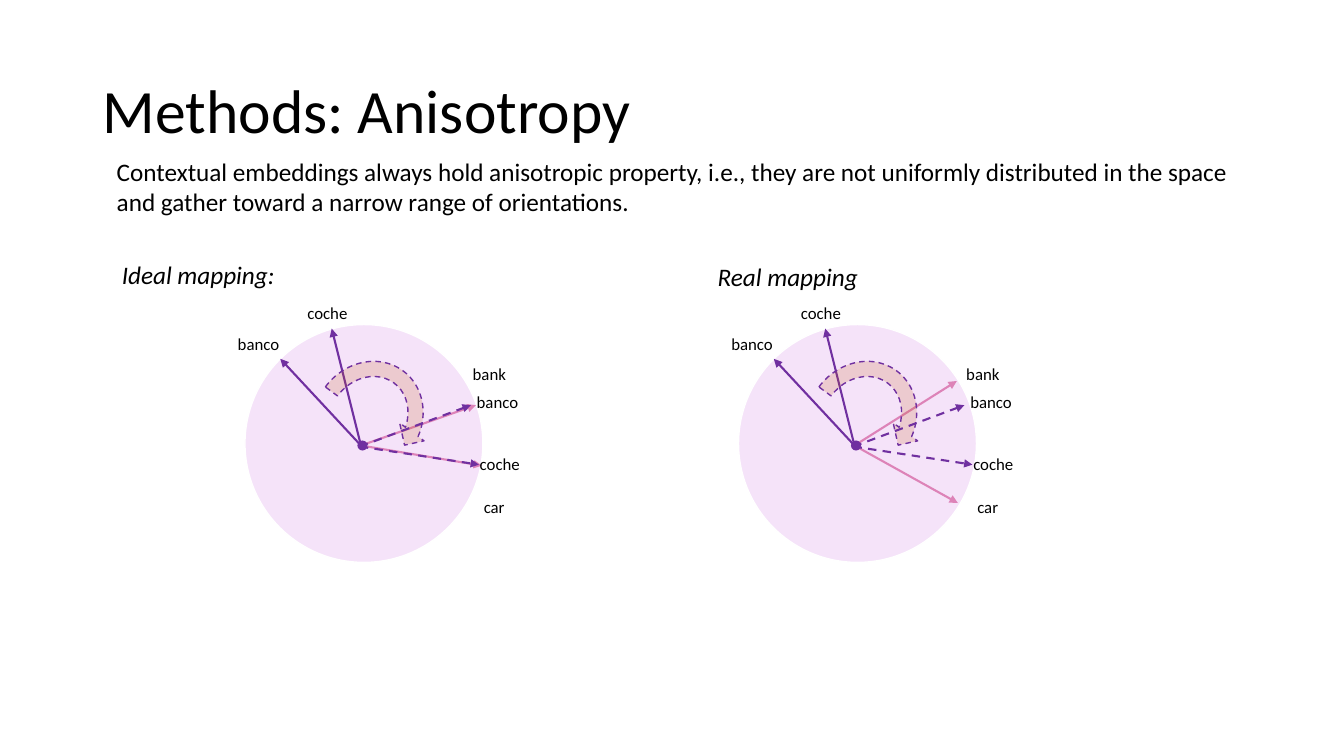
from lxml import etree
from pptx import Presentation
from pptx.dml.color import RGBColor
from pptx.enum.dml import MSO_LINE
from pptx.enum.shapes import MSO_CONNECTOR, MSO_SHAPE
from pptx.enum.text import MSO_ANCHOR
from pptx.oxml.ns import qn
from pptx.util import Inches, Pt

BLACK = RGBColor(0x00, 0x00, 0x00)
WHITE = RGBColor(0xFF, 0xFF, 0xFF)
PURPLE = RGBColor(0x70, 0x30, 0xA0)
PINK = RGBColor(0xDD, 0x83, 0xB8)
LILAC = RGBColor(0xF5, 0xE3, 0xF9)
RUST = RGBColor(0xC5, 0x5A, 0x11)

DASH = MSO_LINE.DASH
STRAIGHT = MSO_CONNECTOR.STRAIGHT
ELLIPSE = MSO_SHAPE.OVAL
CURVED_ARROW = MSO_SHAPE.CIRCULAR_ARROW
MIDDLE, TOP = MSO_ANCHOR.MIDDLE, MSO_ANCHOR.TOP

SLIDE_WIDTH, SLIDE_HEIGHT = Inches(13.33), Inches(7.5)
CELL = SLIDE_HEIGHT / 75  # the slide is a grid of square cells, 75 rows high

TITLE = {"size": Pt(44)}
BODY = {"size": Pt(18)}
CAPTION = {"size": Pt(18), "italic": True}
LABEL = {"size": Pt(12)}

# Cells from the top left corner of the space
SPACE_SIZE = 23.6
HUB = (11.5, 12)
ROTATED_HUB = (11.4, 12.1)
SOURCE_TIPS = [(3.5, 3.4), (8.6, 0.4)]
ROTATED_TIPS = [(22.4, 8), (23.2, 13.9)]
WORD_LABELS = [
    ("banco", -1.7, 0.4), ("coche", 5.2, -2.7), ("car", 22.7, 16.6),
    ("bank", 21.6, 3.4), ("banco", 22, 6.2), ("coche", 22.3, 12.3),
]
SPACES = [  # left, top, tips of the target words
    (24.3, 32.2, [(22.9, 8), (23.5, 14)]),
    (73.25, 32.2, [(21.65, 5.6), (21.75, 17.7)]),
]


def cells(*counts):
    return [round(count * CELL) for count in counts]


def add_text(shapes, text, box, style, anchor=TOP, line_spacing=None):
    frame = shapes.add_textbox(*cells(*box)).text_frame
    frame.word_wrap = True
    frame.vertical_anchor = anchor
    paragraph = frame.paragraphs[0]
    paragraph.line_spacing = line_spacing
    run = paragraph.add_run()
    run.text = text
    for attribute, value in {"name": "Calibri", **style}.items():
        setattr(run.font, attribute, value)
    run.font.color.rgb = BLACK


def add_filled_shape(shapes, preset, box, fill, outline=None, dash=None):
    shape = shapes.add_shape(preset, *cells(*box))
    shape.shadow.inherit = False
    shape.fill.solid()
    shape.fill.fore_color.rgb = fill
    if outline is None:
        shape.line.fill.background()
    else:
        shape.line.color.rgb = outline
        shape.line.width = Pt(1)
        shape.line.dash_style = dash
    return shape


def add_vector(shapes, start, tip, color, dash=None):
    vector = shapes.add_connector(STRAIGHT, *cells(*start, *tip))
    vector.line.color.rgb = color
    vector.line.width = Pt(1.5)
    vector.line.dash_style = dash
    etree.SubElement(vector.line._get_or_add_ln(), qn("a:tailEnd"), type="triangle")
    etree.SubElement(vector._element.spPr, qn("a:effectLst"))


def add_rotation_arrow(shapes, box):
    arrow = add_filled_shape(shapes, CURVED_ARROW, box, RUST, PURPLE, DASH)
    arrow.rotation = 36.3
    color = arrow._element.spPr.find(qn("a:solidFill"))[0]
    etree.SubElement(color, qn("a:alpha"), val="18000")


def add_embedding_space(slide, left, top, target_tips):
    shapes = slide.shapes.add_group_shape().shapes

    def place(x, y):
        return left + x, top + y

    add_filled_shape(shapes, ELLIPSE, (left, top, SPACE_SIZE, SPACE_SIZE), LILAC, WHITE)
    for tips, color in ((SOURCE_TIPS, PURPLE), (target_tips, PINK)):
        for tip in tips:
            add_vector(shapes, place(*HUB), place(*tip), color)
    add_rotation_arrow(shapes, (*place(6.2, 2.7), 12, 13.2))
    for tip in ROTATED_TIPS:
        add_vector(shapes, place(*ROTATED_HUB), place(*tip), PURPLE, DASH)
    for word, x, y in WORD_LABELS:
        add_text(shapes, word, (*place(x, y), 10.4, 3), LABEL)
    add_filled_shape(shapes, ELLIPSE, (*place(11.15, 11.5), 1, 1), PURPLE)


def main():
    deck = Presentation()
    deck.slide_width, deck.slide_height = SLIDE_WIDTH, SLIDE_HEIGHT
    slide = deck.slides.add_slide(deck.slide_layouts[6])
    add_text(slide.shapes, "Methods: Anisotropy", (9.2, 4, 117, 14.5), TITLE, MIDDLE, 0.9)
    add_text(slide.shapes, "Ideal mapping:", (11.1, 25.2, 74.3, 4), CAPTION)
    for left, top, target_tips in SPACES:
        add_embedding_space(slide, left, top, target_tips)
    add_text(slide.shapes, "Real mapping", (70.2, 25.4, 24.7, 4), CAPTION)
    add_text(
        slide.shapes,
        "Contextual embeddings always hold anisotropic property, i.e., they are not "
        "uniformly distributed in the space and gather toward a narrow range of "
        "orientations.",
        (10.6, 15, 115.6, 7.1), BODY,
    )
    deck.save("out.pptx")


if __name__ == "__main__":
    main()
